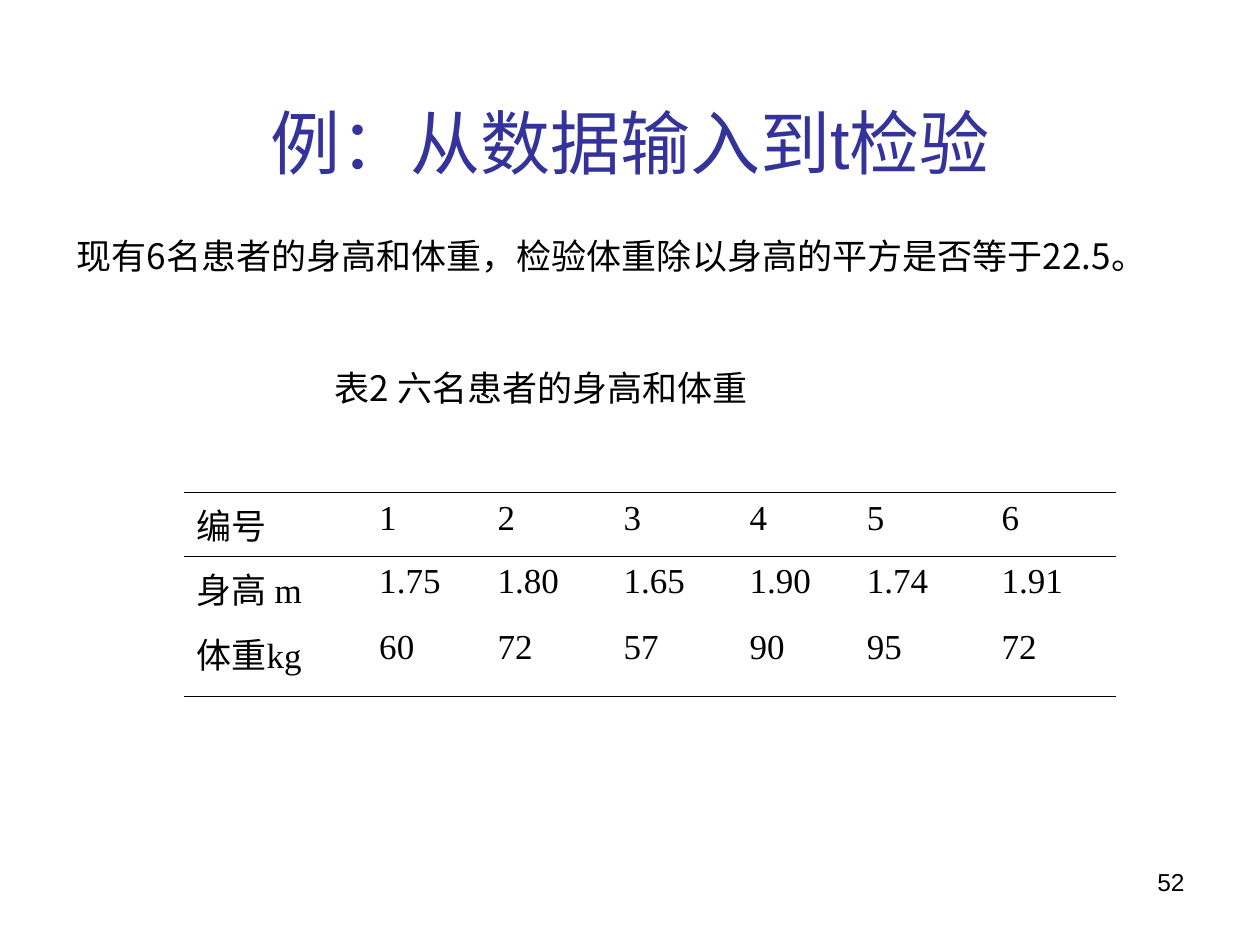
from lxml.etree import SubElement
from pptx import Presentation
from pptx.dml.color import RGBColor
from pptx.enum.text import MSO_ANCHOR as Anchor, PP_ALIGN as Align
from pptx.oxml.ns import qn
from pptx.util import Inches, Pt

COLORS = {"title": "333399", "text": "000000", "rule": "000000"}
CJK_FONT = "Noto Sans CJK SC"
COLUMN_WIDTHS = [1.45, 0.94, 1, 1, 0.93, 1.07, 1.01]
ROW_HEIGHTS = [0.44, 0.52, 0.59]
PATIENTS = [
    ["编号", "1", "2", "3", "4", "5", "6"],
    ["身高 m", "1.75", "1.80", "1.65", "1.90", "1.74", "1.91"],
    ["体重kg", "60", "72", "57", "90", "95", "72"],
]
RULES = [{"T": 0.75, "B": 0.45}, {"T": 0.45}, {"B": 0.45}]


def write_text(frame, text, size=20, font=CJK_FONT, color="text",
               align=Align.LEFT, spacing=None, hanging=None):
    """Write one formatted paragraph into a text frame."""
    frame.word_wrap = True
    paragraph = frame.paragraphs[0]
    paragraph.alignment = align
    if spacing:
        paragraph.line_spacing = spacing
    if hanging:
        properties = paragraph._p.get_or_add_pPr()
        properties.set("marL", str(Inches(hanging)))
        properties.set("indent", str(-Inches(hanging)))
    run = paragraph.add_run()
    run.text = text
    run.font.size = Pt(size)
    run.font.name = font
    run.font.color.rgb = RGBColor.from_string(COLORS[color])
    SubElement(run._r.get_or_add_rPr(), qn("a:ea"), typeface=CJK_FONT)


def add_title(slide, text):
    """Place and fill the title placeholder."""
    title = slide.shapes.title
    title.left, title.top = Inches(0.5), Inches(0.3)
    title.width, title.height = Inches(9), Inches(1.25)
    title.text_frame.vertical_anchor = Anchor.MIDDLE
    write_text(title.text_frame, text, size=40, font="Arial", color="title",
               align=Align.CENTER, spacing=1.6)


def add_label(slide, text, left, top, width, height, **text_format):
    """Add a text box with one paragraph."""
    box = slide.shapes.add_textbox(Inches(left), Inches(top),
                                   Inches(width), Inches(height))
    write_text(box.text_frame, text, **text_format)


def set_borders(cell, widths):
    """Draw the given cell sides and hide the others."""
    properties = cell._tc.get_or_add_tcPr()
    for index, side in enumerate("LRTB"):
        line = SubElement(properties, qn(f"a:ln{side}"))
        properties.insert(index, line)
        if side in widths:
            line.set("w", str(Pt(widths[side])))
            fill = SubElement(line, qn("a:solidFill"))
            SubElement(fill, qn("a:srgbClr"), val=COLORS["rule"])
        else:
            SubElement(line, qn("a:noFill"))


def add_patient_table(slide):
    """Add the ruled table of heights and weights."""
    frame = slide.shapes.add_table(
        len(ROW_HEIGHTS), len(COLUMN_WIDTHS), Inches(1.46), Inches(3.91),
        Inches(sum(COLUMN_WIDTHS)), Inches(sum(ROW_HEIGHTS)))
    table = frame.table
    table.first_row = table.horz_banding = False
    for column, width in zip(table.columns, COLUMN_WIDTHS):
        column.width = Inches(width)
    for row, height, values, rules in zip(table.rows, ROW_HEIGHTS, PATIENTS, RULES):
        row.height = Inches(height)
        for cell, value in zip(row.cells, values):
            cell.fill.background()
            set_borders(cell, rules)
            write_text(cell.text_frame, value, font="Times New Roman", hanging=0.38)


def main():
    """Build and save the slide."""
    presentation = Presentation()
    presentation.slide_width, presentation.slide_height = Inches(10), Inches(7.5)
    slide = presentation.slides.add_slide(presentation.slide_layouts[5])
    add_title(slide, "例：从数据输入到t检验")
    add_patient_table(slide)
    add_label(slide, "表2 六名患者的身高和体重", 2.56, 2.86, 5.43, 0.44)
    add_label(slide, "现有6名患者的身高和体重，检验体重除以身高的平方是否等于22.5。",
              0.51, 1.61, 8.74, 0.64, spacing=1.6)
    add_label(slide, "52", 7.17, 6.83, 2.33, 0.52, size=14, font="Arial",
              align=Align.RIGHT)
    presentation.save("out.pptx")


if __name__ == "__main__":
    main()
